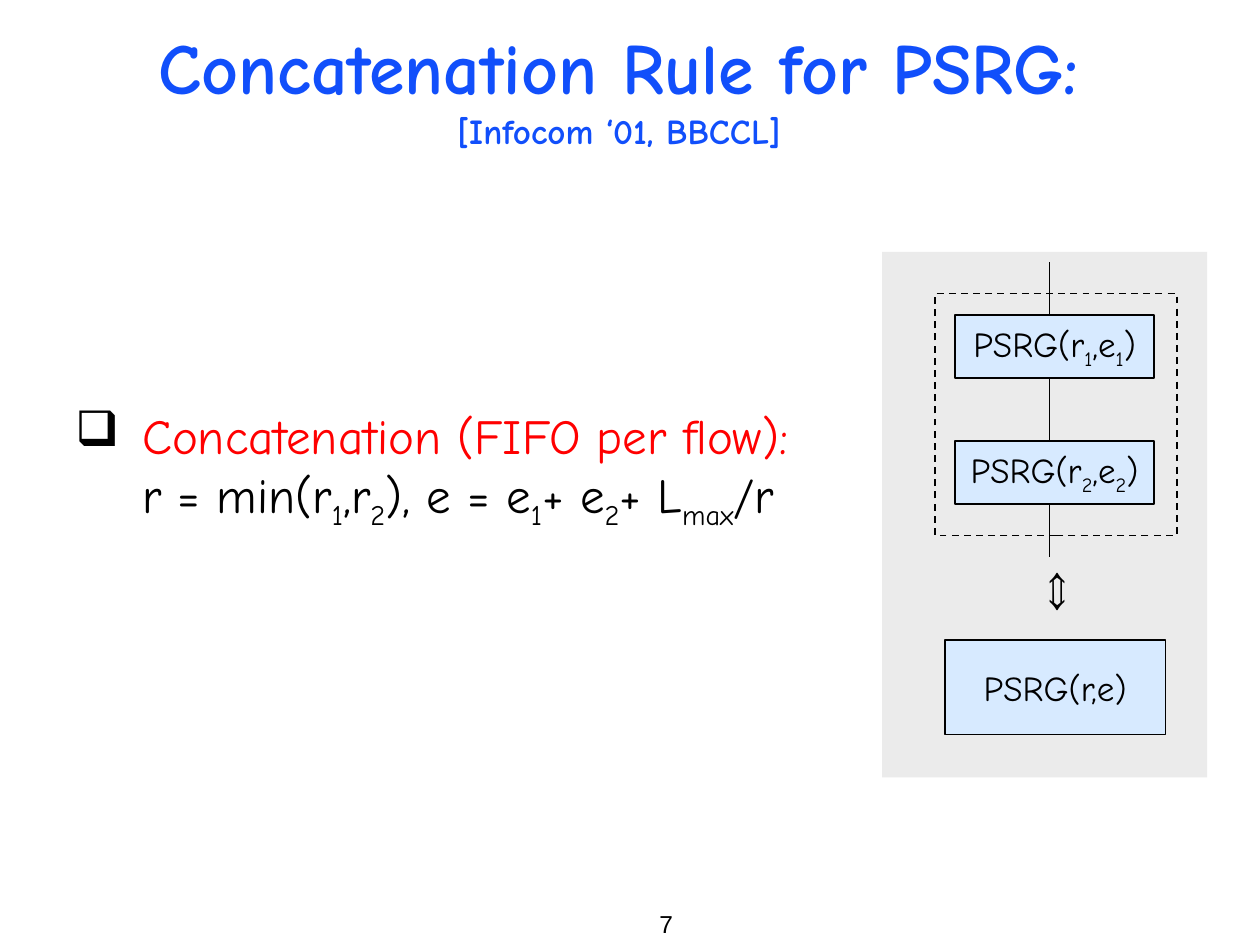
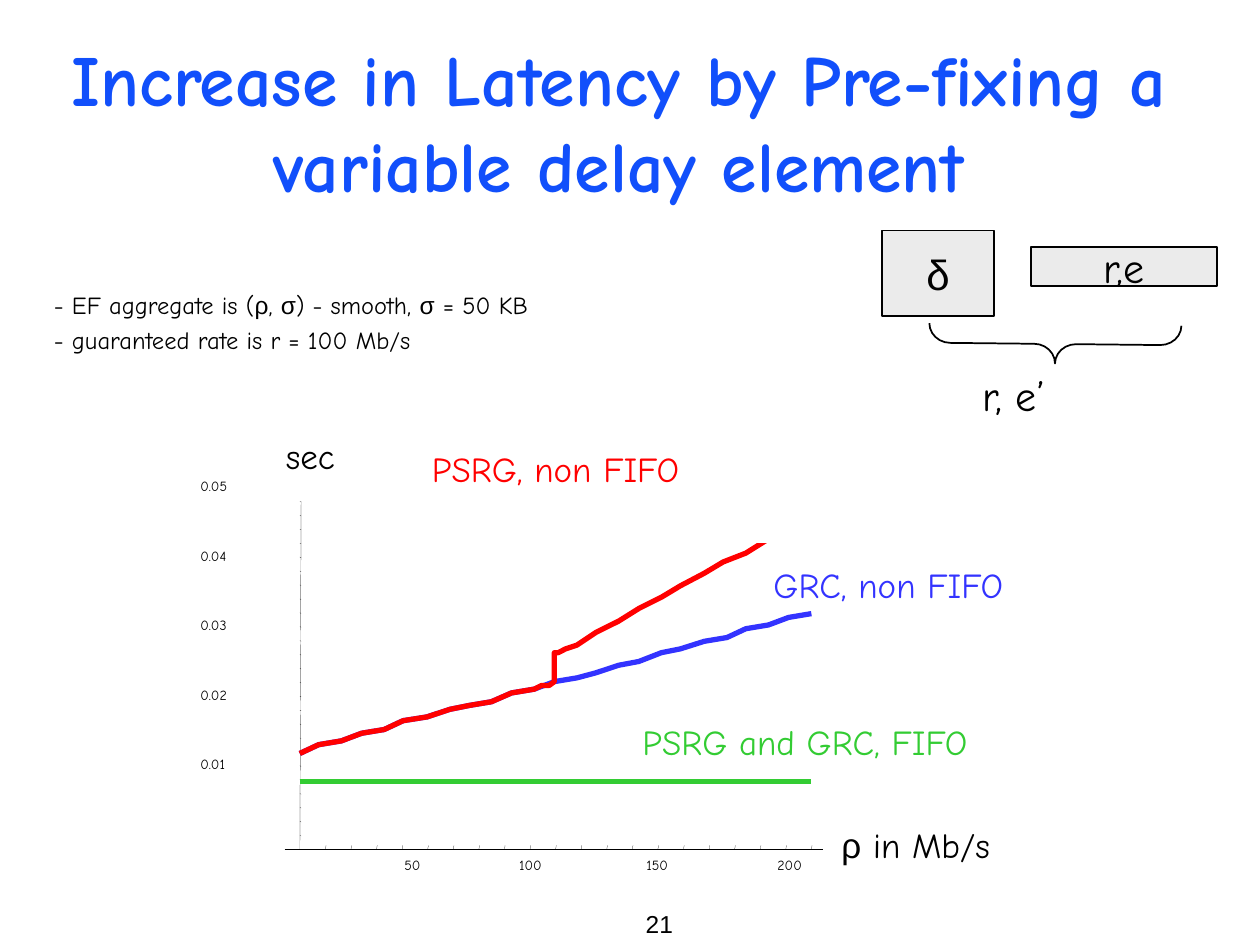
from itertools import groupby

from lxml import etree
from pptx import Presentation
from pptx.dml.color import RGBColor
from pptx.enum.dml import MSO_LINE
from pptx.enum.shapes import MSO_CONNECTOR, MSO_SHAPE
from pptx.enum.text import MSO_ANCHOR, MSO_AUTO_SIZE, PP_ALIGN
from pptx.oxml.ns import qn
from pptx.util import Pt

PX = 9144  # 100 px to the inch
SLIDE_SIZE = (1000, 750)
HAIRLINE = 0.1  # points

RECTANGLE, LEFT_BRACE = MSO_SHAPE.RECTANGLE, MSO_SHAPE.LEFT_BRACE
STRAIGHT = MSO_CONNECTOR.STRAIGHT
DASH = MSO_LINE.DASH
TOP, MIDDLE, BOTTOM = MSO_ANCHOR.TOP, MSO_ANCHOR.MIDDLE, MSO_ANCHOR.BOTTOM
LEFT, CENTER, RIGHT = PP_ALIGN.LEFT, PP_ALIGN.CENTER, PP_ALIGN.RIGHT
GROW, FIXED = MSO_AUTO_SIZE.SHAPE_TO_FIT_TEXT, MSO_AUTO_SIZE.NONE

COLOURS = {
    "title": "114FFB",
    "ink": "000000",
    "paper": "FFFFFF",
    "panel": "EBEBEB",
    "node": "D7EAFF",
    "red": "FF0000",
    "blue": "3333FF",
    "green": "33CC33",
}
TEXT_FONT, SYMBOL_FONT = "Comic Neue", "Arial"
SYMBOLS = "δρσ⇔"

# Formats of the texts
TITLE = {"size": 41, "bold": True, "colour": "title"}
SUBTITLE = {**TITLE, "size": 20}
STATEMENT = {"size": 28}
NOTE = {"size": 14}
LABEL = {"size": 20}
ELEMENT = {"size": 24}
TICK = {"size": 8}
ARROW = {"size": 36, "bold": True}
PAGE_NUMBER = {"size": 14, "name": SYMBOL_FONT}

# Formats of the text frames
CENTRED = {"align": CENTER, "anchor": MIDDLE, "wrap": False}
SNUG = {"wrap": False, "grow": GROW}


def rgb(colour):
    return RGBColor.from_string(COLOURS[colour])


def px(*lengths):
    return [round(length * PX) for length in lengths]


# ---------- text ----------
def add_run(paragraph, text, style, subscript):
    run = paragraph.add_run()
    run.text = text
    style = {"name": TEXT_FONT, "colour": "ink", **style}
    run.font.color.rgb = rgb(style.pop("colour"))
    style["size"] = Pt(style["size"])
    if text[0] in SYMBOLS:
        style["name"] = SYMBOL_FONT
    for name, value in style.items():
        setattr(run.font, name, value)
    if subscript:
        run.font._element.set("baseline", "-25000")


def write_line(paragraph, text, style):
    """Parts between bars are subscripts; symbols take their own font."""
    for index, part in enumerate(text.split("|")):
        for _, letters in groupby(part, lambda letter: letter in SYMBOLS):
            add_run(paragraph, "".join(letters), style, index % 2)


def write(shape, paragraphs, align=LEFT, anchor=TOP, wrap=True, grow=FIXED,
          margins=(10, 5), before=0, hanging=0, bullet=None):
    """Each paragraph is a list of (text, style) lines."""
    frame = shape.text_frame
    across, down = px(*margins)
    settings = {"word_wrap": wrap, "auto_size": grow, "vertical_anchor": anchor,
                "margin_left": across, "margin_right": across,
                "margin_top": down, "margin_bottom": down}
    for name, value in settings.items():
        setattr(frame, name, value)
    for number, lines in enumerate(paragraphs):
        paragraph = frame.add_paragraph() if number else frame.paragraphs[0]
        paragraph.alignment = align
        paragraph.space_before = Pt(before)
        for index, (text, style) in enumerate(lines):
            if index:
                paragraph.add_line_break()
            write_line(paragraph, text, style)
        if hanging:
            hang(paragraph, hanging, bullet)


def hang(paragraph, hanging, bullet):
    properties = paragraph._p.get_or_add_pPr()
    indent = hanging * PX
    properties.set("marL", str(indent))
    properties.set("indent", str(-indent))
    if bullet:
        colour = etree.SubElement(properties, qn("a:buClr"))
        etree.SubElement(colour, qn("a:srgbClr")).set("val", COLOURS["ink"])
        etree.SubElement(properties, qn("a:buChar")).set("char", bullet)


def add_text(slide, box, paragraphs, **layout):
    shape = slide.shapes.add_textbox(*px(*box))
    write(shape, paragraphs, **layout)
    return shape


# ---------- shapes and lines ----------
def paint(shape, fill=None, line=None, width=1):
    shape.shadow.inherit = False
    for part, colour in ((shape.fill, fill), (shape.line.fill, line)):
        if colour:
            part.solid()
            part.fore_color.rgb = rgb(colour)
        else:
            part.background()
    if line:
        shape.line.width = Pt(width)


def add_box(slide, box, fill=None, line=None, text=None, style=LABEL, **layout):
    shape = slide.shapes.add_shape(RECTANGLE, *px(*box))
    paint(shape, fill, line)
    if text:
        write(shape, [[(text, style)]], **layout)
    return shape


def add_line(slide, start, end, colour="ink", width=HAIRLINE):
    line = slide.shapes.add_connector(STRAIGHT, *px(*start, *end))
    line.line.color.rgb = rgb(colour)
    line.line.width = Pt(width)
    etree.SubElement(line._element.spPr, qn("a:effectLst"))


def add_curve(slide, left, top, points, colour):
    moved = [(left + x, top + y) for x, y in points]
    builder = slide.shapes.build_freeform(*moved[0], scale=PX)
    builder.add_line_segments(moved[1:], close=False)
    paint(builder.convert_to_shape(), line=colour, width=3)


# ---------- shared slide frame ----------
def add_slide(presentation, title_lines, title_box, number):
    slide = presentation.slides.add_slide(presentation.slide_layouts[6])
    add_text(slide, (425, 717, 119, 33), [[(number, PAGE_NUMBER)]],
             align=RIGHT, anchor=MIDDLE, **SNUG)
    add_text(slide, title_box, [title_lines], align=CENTER, anchor=BOTTOM)
    return slide


# ---------- concatenation slide ----------
def draw_concatenation(slide, left, top):
    """Two nodes in a row and the single node they amount to."""
    add_box(slide, (left, top, 258, 417), "panel")
    add_box(slide, (left + 42, top + 33, 192, 192), line="ink").line.dash_style = DASH
    add_box(slide, (left + 50, top + 308, 175, 75), "node", "ink",
            "PSRG(r,e)", **CENTRED)
    arrow = add_text(slide, (left + 99, top + 237, 66, 70), [[("⇔", ARROW)]], **SNUG)
    arrow.rotation = 270
    add_line(slide, (left + 133, top + 8), (left + 133, top + 242), width=1)
    for index in (1, 2):
        add_box(slide, (left + 58, top - 50 + 100 * index, 158, 50), "node", "ink",
                f"PSRG(r|{index}|,e|{index}|)", **CENTRED)


def build_concatenation_slide(presentation):
    slide = add_slide(presentation,
                      [("Concatenation Rule for PSRG:", TITLE),
                       ("[Infocom ‘01, BBCCL]", SUBTITLE)],
                      (25, 10, 933, 115), "7")
    add_text(slide, (50, 317, 667, 142),
             [[("Concatenation (FIFO per flow):", {**STATEMENT, "colour": "red"}),
               ("r = min(r|1|,r|2|), e = e|1|+ e|2|+ L|max|/r", STATEMENT)]],
             before=7, hanging=53, bullet="❑")
    draw_concatenation(slide, 700, 200)


# ---------- latency slide ----------
# Points in px from the top left corner of the plot
SHARED_RISE = [(0, 200), (15, 193), (33, 190), (49, 184), (67, 181), (82, 174),
               (101, 171), (119, 165), (134, 162), (152, 159), (168, 152), (186, 149)]
GRC_RISE = [(202, 143), (220, 140), (235, 136), (253, 130), (269, 127), (287, 120),
            (302, 117), (321, 111), (339, 108), (354, 101), (372, 98), (388, 92),
            (406, 89)]
PSRG_RISE = [(192, 146), (198, 146), (202, 143), (202, 120), (205, 120), (211, 117),
             (220, 114), (235, 104), (253, 95), (269, 85), (287, 76), (302, 67),
             (321, 57), (336, 48), (354, 41), (370, 31), (388, 22), (403, 12),
             (406, 12)]
PLOT_WIDTH, PLOT_HEIGHT = 406, 276
X_TICKS, Y_TICKS = 20, 25
X_LABELS = {"50": 83, "100": 174, "150": 275, "200": 379}
Y_LABELS = ["0.01", "0.02", "0.03", "0.04", "0.05"]


def draw_axes(slide, left, top):
    base = top + PLOT_HEIGHT
    tick_labels = [(text, left + offset, base + 6) for text, offset in X_LABELS.items()]
    y_step = PLOT_HEIGHT / len(Y_LABELS)
    tick_labels += [(text, left - 79, base - 19 - y_step * row)
                    for row, text in enumerate(Y_LABELS, 1)]
    for text, x, y in tick_labels:
        add_text(slide, (x, y, 40, 13), [[(text, TICK)]], margins=(0, 0))
    for tick in range(1, X_TICKS + 1):
        x = left + PLOT_WIDTH * tick / X_TICKS
        add_line(slide, (x, base), (x + 0.5, base - 3))
    for tick in range(1, Y_TICKS + 1):
        y = base - PLOT_HEIGHT * tick / Y_TICKS
        add_line(slide, (left, y), (left + 1, y + 0.5))
    add_line(slide, (left - 12, base), (left + 415, base))
    add_line(slide, (left, base), (left + 1, top))


def draw_latency_plot(slide, left, top):
    def name_curve(x, y, width, text, colour, fill=None):
        add_box(slide, (left + x, top + y, width, 81), fill, text=text,
                style={**LABEL, "colour": colour})

    add_curve(slide, left, top, SHARED_RISE + GRC_RISE, "blue")
    name_curve(366, 44, 388, "GRC, non FIFO", "blue")
    # Axis names and axes
    add_box(slide, (left - 21, top - 58, 129, 81), "paper", text="sec")
    add_box(slide, (left + 420, top + 251, 310, 51), "paper", text="ρ in Mb/s")
    draw_axes(slide, left, top)
    # The white name box cuts off the end of the red curve
    add_curve(slide, left, top, SHARED_RISE + PSRG_RISE, "red")
    name_curve(95, -48, 388, "PSRG, non FIFO", "red", "paper")
    add_line(slide, (left, top + 222), (left + PLOT_WIDTH, top + 222), "green", 3)
    name_curve(262, 169, 491, "PSRG and GRC, FIFO", "green")


def draw_delay_chain(slide, left, top):
    """A delay element before a node, braced as one."""
    for box, text in (((left, top, 89, 68), "δ"),
                      ((left + 118, top + 13, 148, 31), "r,e")):
        add_box(slide, box, "panel", "ink", text, ELEMENT, **CENTRED)
    brace = slide.shapes.add_shape(LEFT_BRACE, *px(left + 122, top - 10, 31, 200))
    paint(brace, line="ink")
    brace.adjustments[0] = 0.54
    brace.rotation = 270.6
    add_text(slide, (left + 70, top + 105, 72, 50), [[("r, e’", ELEMENT)]], **SNUG)


def build_latency_slide(presentation):
    slide = add_slide(presentation,
                      [("Increase in Latency by Pre-fixing a variable delay element",
                        TITLE)],
                      (25, 20, 933, 149), "21")
    draw_latency_plot(slide, 238, 398)
    add_text(slide, (33, 225, 607, 117),
             [[("- EF aggregate is (ρ, σ) - smooth, σ = 50 KB", NOTE)],
              [("- guaranteed rate is r = 100 Mb/s", NOTE)]],
             before=3.5, hanging=53)
    draw_delay_chain(slide, 700, 183)


def main():
    presentation = Presentation()
    presentation.slide_width, presentation.slide_height = px(*SLIDE_SIZE)
    build_concatenation_slide(presentation)
    build_latency_slide(presentation)
    presentation.save("out.pptx")


if __name__ == "__main__":
    main()
